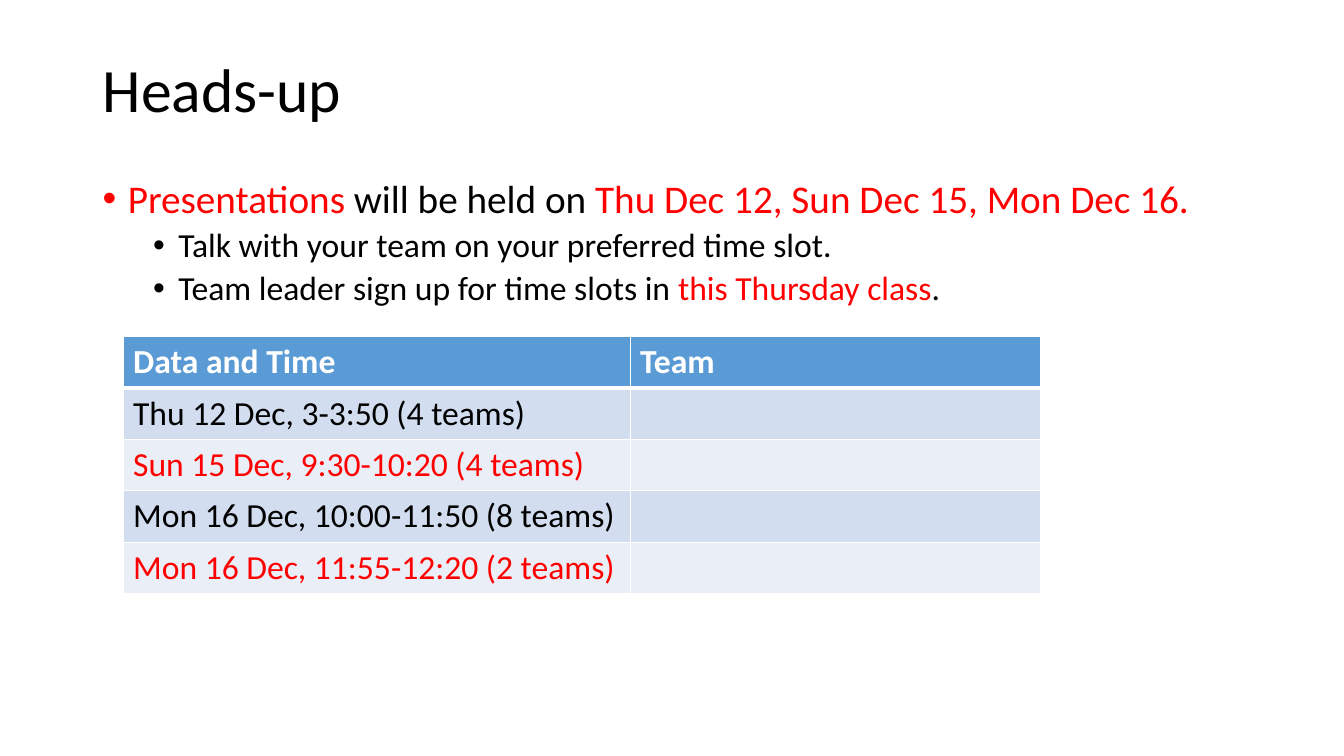
from lxml.etree import SubElement
from pptx import Presentation
from pptx.dml.color import RGBColor
from pptx.enum.text import MSO_ANCHOR
from pptx.oxml import parse_xml
from pptx.oxml.ns import nsdecls, qn
from pptx.util import Inches, Pt

BLACK = RGBColor(0x00, 0x00, 0x00)
RED = RGBColor(0xFF, 0x00, 0x00)
WHITE = RGBColor(0xFF, 0xFF, 0xFF)
HEADER_BLUE = RGBColor(0x5B, 0x9B, 0xD5)
BANDS = [RGBColor(0xD2, 0xDE, 0xEF), RGBColor(0xEA, 0xEF, 0xF7)]
FONT = "Calibri"

TITLE = "Heads-up"
# (level, [(text, colour), ...])
BULLETS = [
    (0, [("Presentations", RED), (" will be held on ", BLACK),
         ("Thu Dec 12, Sun Dec 15, Mon Dec 16.", RED)]),
    (1, [("Talk with your team on your preferred time slot.", BLACK)]),
    (1, [("Team leader sign up for time slots in ", BLACK),
         ("this Thursday class", RED), (".", BLACK)]),
]
HEADINGS = ["Data and Time", "Team"]
SLOTS = [
    ("Thu 12 Dec, 3-3:50 (4 teams)", BLACK),
    ("Sun 15 Dec, 9:30-10:20 (4 teams)", RED),
    ("Mon 16 Dec, 10:00-11:50 (8 teams)", BLACK),
    ("Mon 16 Dec, 11:55-12:20 (2 teams)", RED),
]

PAGE_WIDTH, PAGE_HEIGHT = 13.33, 7.5
MARGIN = 0.92
TEXT_WIDTH = 11.5
LEVEL_SIZES = [28, 24]
LEVEL_SPACES = [10, 5]
TABLE_LEFT, TABLE_TOP = 1.22, 3.34
COLUMN_WIDTHS = [5.03, 4.07]
ROW_HEIGHT = 0.51


def add_text_frame(page, top, height):
    box = page.shapes.add_textbox(
        Inches(MARGIN), Inches(top), Inches(TEXT_WIDTH), Inches(height))
    box.text_frame.word_wrap = True
    return box.text_frame


def style(font, size, color, bold=False):
    font.name, font.size, font.bold = FONT, Pt(size), bold
    font.color.rgb = color


def add_bullet(para, level):
    """Give the paragraph a hanging bullet that takes the text colour."""
    properties = para._p.get_or_add_pPr()
    properties.set("marL", str(Inches(0.25 + 0.5 * level)))
    properties.set("indent", str(Inches(-0.25)))
    SubElement(properties, qn("a:buFont")).set("typeface", "Arial")
    SubElement(properties, qn("a:buChar")).set("char", "•")


def add_borders(cell, top, bottom):
    """Draw white borders; top and bottom are widths in points."""
    properties = cell._tc.get_or_add_tcPr()
    widths = {"lnL": 1, "lnR": 1, "lnT": top, "lnB": bottom}
    for position, (edge, width) in enumerate(widths.items()):
        properties.insert(position, parse_xml(
            f'<a:{edge} {nsdecls("a")} w="{Pt(width)}"><a:solidFill>'
            f'<a:srgbClr val="{WHITE}"/></a:solidFill></a:{edge}>'))


def add_title(page):
    frame = add_text_frame(page, 0.4, 1.03)
    frame.vertical_anchor = MSO_ANCHOR.MIDDLE
    para = frame.paragraphs[0]
    para.text = TITLE
    para.line_spacing = 0.9
    style(para.font, 44, BLACK)


def add_bullets(page):
    frame = add_text_frame(page, 1.73, 1.61)
    for index, (level, spans) in enumerate(BULLETS):
        para = frame.add_paragraph() if index else frame.paragraphs[0]
        para.level = level
        para.line_spacing = 0.9
        para.space_before = Pt(LEVEL_SPACES[level])
        add_bullet(para, level)
        for text, color in spans:
            span = para.add_run()
            span.text = text
            style(span.font, LEVEL_SIZES[level], color)


def add_schedule(page):
    rows = [(HEADINGS, WHITE)] + [((slot, ""), color) for slot, color in SLOTS]
    table = page.shapes.add_table(
        len(rows), len(HEADINGS), Inches(TABLE_LEFT), Inches(TABLE_TOP),
        Inches(sum(COLUMN_WIDTHS)), Inches(ROW_HEIGHT * len(rows))).table
    for column, width in zip(table.columns, COLUMN_WIDTHS):
        column.width = Inches(width)
    for row, (texts, color) in enumerate(rows):
        header = row == 0
        for column, text in enumerate(texts):
            cell = table.cell(row, column)
            cell.fill.solid()
            cell.fill.fore_color.rgb = HEADER_BLUE if header else BANDS[(row - 1) % 2]
            add_borders(cell, 3 if row == 1 else 1, 3 if header else 1)
            para = cell.text_frame.paragraphs[0]
            para.text = text
            style(para.font, 24, color, bold=header)


def main():
    deck = Presentation()
    deck.slide_width, deck.slide_height = Inches(PAGE_WIDTH), Inches(PAGE_HEIGHT)
    page = deck.slides.add_slide(deck.slide_layouts[6])
    add_title(page)
    add_bullets(page)
    add_schedule(page)
    deck.save("out.pptx")


if __name__ == "__main__":
    main()
